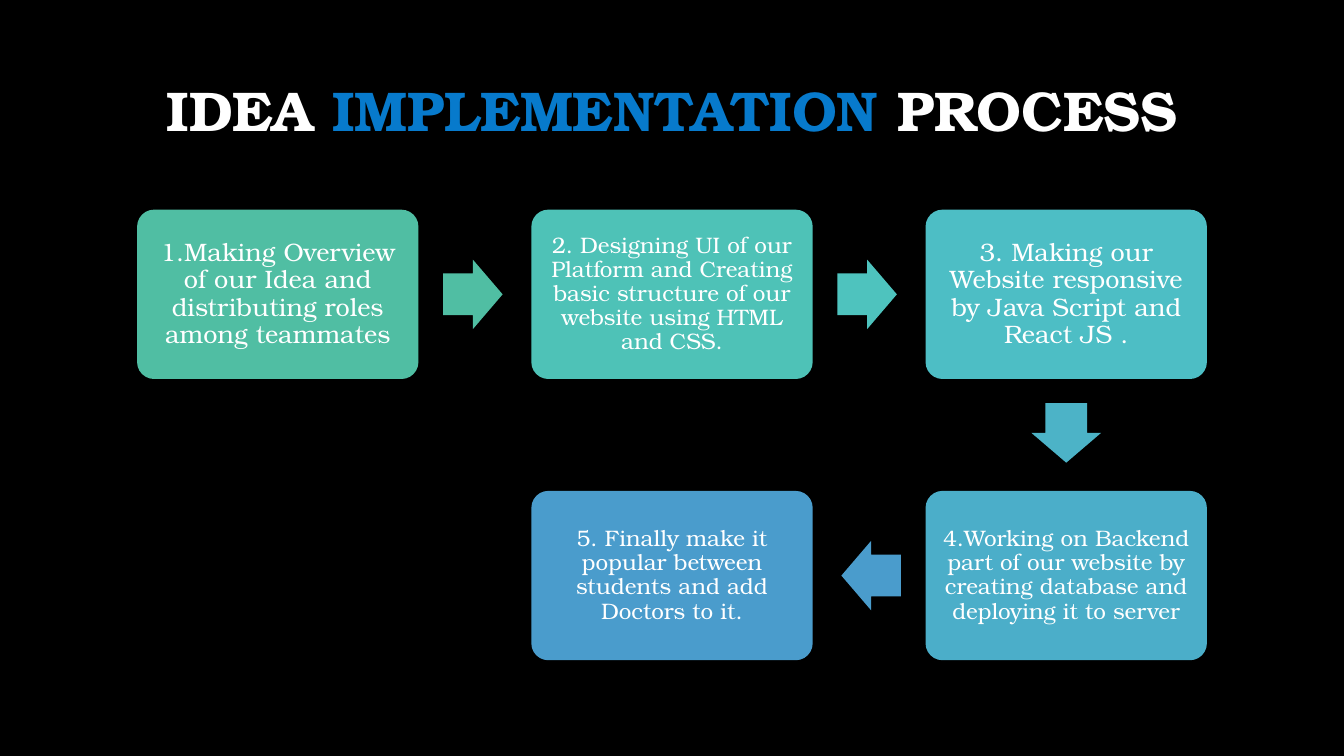
from math import atan2, cos, degrees, radians, sin

from pptx import Presentation
from pptx.dml.color import RGBColor
from pptx.enum.shapes import MSO_SHAPE
from pptx.enum.text import MSO_ANCHOR, PP_ALIGN
from pptx.util import Inches, Pt

FONT = "TeX Gyre Bonum"
WHITE = "FFFFFF"
BLACK = "000000"
ACCENT = "077ACC"

GRID_LEFT, GRID_TOP = 1.36, 2.08
COLUMN_PITCH, ROW_PITCH = 3.91, 2.79
STEP_WIDTH, STEP_HEIGHT = 2.79, 1.68
ARROW_LENGTH, ARROW_BREADTH = 0.59, 0.69
ARROW_SETBACK = 0.02

# column, row, text size, fill, fill of the arrow to the next step, wording
STEPS = [
    (0, 0, 18, "50BEA3", "50BEA3",
     "1.Making Overview of our Idea and distributing roles among teammates"),
    (1, 0, 16, "4EC2B7", "4EC3BE",
     "2. Designing UI of our Platform and Creating basic structure of our "
     "website using HTML and CSS."),
    (2, 0, 18, "4DBEC5", "4CB3C7",
     "3. Making our Website responsive by Java Script and React JS ."),
    (2, 1, 16, "4BAEC9", "4A9CCC",
     "4.Working on Backend part of our website by creating database and "
     "deploying it to server"),
    (1, 1, 16, "4A9CCC", None,
     "5. Finally make it popular between students and add Doctors to it."),
]


def paint(fill, color):
    fill.solid()
    fill.fore_color.rgb = RGBColor.from_string(color)


def style_run(run, size, color, bold=False):
    run.font.name = FONT
    run.font.size = Pt(size)
    run.font.bold = bold
    run.font.color.rgb = RGBColor.from_string(color)


def center_text(frame):
    frame.word_wrap = True
    frame.vertical_anchor = MSO_ANCHOR.MIDDLE
    paragraph = frame.paragraphs[0]
    paragraph.alignment = PP_ALIGN.CENTER
    paragraph.line_spacing = 0.9
    return paragraph


def add_flat_shape(slide, kind, center, width, height, color):
    x, y = center
    shape = slide.shapes.add_shape(
        kind, Inches(x - width / 2), Inches(y - height / 2),
        Inches(width), Inches(height))
    shape.shadow.inherit = False
    shape.line.fill.background()
    paint(shape.fill, color)
    return shape


def step_center(column, row):
    return (GRID_LEFT + column * COLUMN_PITCH + STEP_WIDTH / 2,
            GRID_TOP + row * ROW_PITCH + STEP_HEIGHT / 2)


def add_title(slide):
    title = slide.shapes.title
    title.left, title.top = Inches(1.03), Inches(0.58)
    title.width, title.height = Inches(11.27), Inches(1.74)
    frame = title.text_frame
    # Extra bottom margin lifts the heading above the middle of its box.
    frame.margin_bottom = Inches(0.7)
    paragraph = center_text(frame)
    for words, color in (("IDEA ", WHITE), ("IMPLEMENTATION", ACCENT),
                         (" PROCESS", WHITE)):
        run = paragraph.add_run()
        run.text = words
        style_run(run, 40, color, bold=True)


def add_step(slide, center, size, color, wording):
    step = add_flat_shape(slide, MSO_SHAPE.ROUNDED_RECTANGLE, center,
                          STEP_WIDTH, STEP_HEIGHT, color)
    step.adjustments[0] = 0.1
    frame = step.text_frame
    frame.margin_left = frame.margin_right = Inches(0.07)
    frame.margin_top = frame.margin_bottom = Inches(0.07)
    frame.text = wording
    style_run(center_text(frame).runs[0], size, WHITE)


def add_arrow(slide, start, end, color):
    """Place an arrow midway between two step centres, pointing at the second."""
    angle = atan2(end[1] - start[1], end[0] - start[0])
    center = ((start[0] + end[0]) / 2 - ARROW_SETBACK * cos(angle),
              (start[1] + end[1]) / 2 - ARROW_SETBACK * sin(angle))
    arrow = add_flat_shape(slide, MSO_SHAPE.RIGHT_ARROW, center,
                           ARROW_LENGTH, ARROW_BREADTH, color)
    arrow.adjustments[0] = 0.6
    arrow.adjustments[1] = 0.5
    arrow.rotation = degrees(angle)


def main():
    deck = Presentation()
    deck.slide_width, deck.slide_height = Inches(13.33), Inches(7.5)
    title_only = deck.slide_layouts[5]
    slide = deck.slides.add_slide(title_only)
    paint(slide.background.fill, BLACK)

    add_title(slide)
    centers = [step_center(column, row) for column, row, *_ in STEPS]
    for i, (_, _, size, color, arrow_color, wording) in enumerate(STEPS):
        add_step(slide, centers[i], size, color, wording)
        if arrow_color:
            add_arrow(slide, centers[i], centers[i + 1], arrow_color)

    deck.save("out.pptx")


if __name__ == "__main__":
    main()
